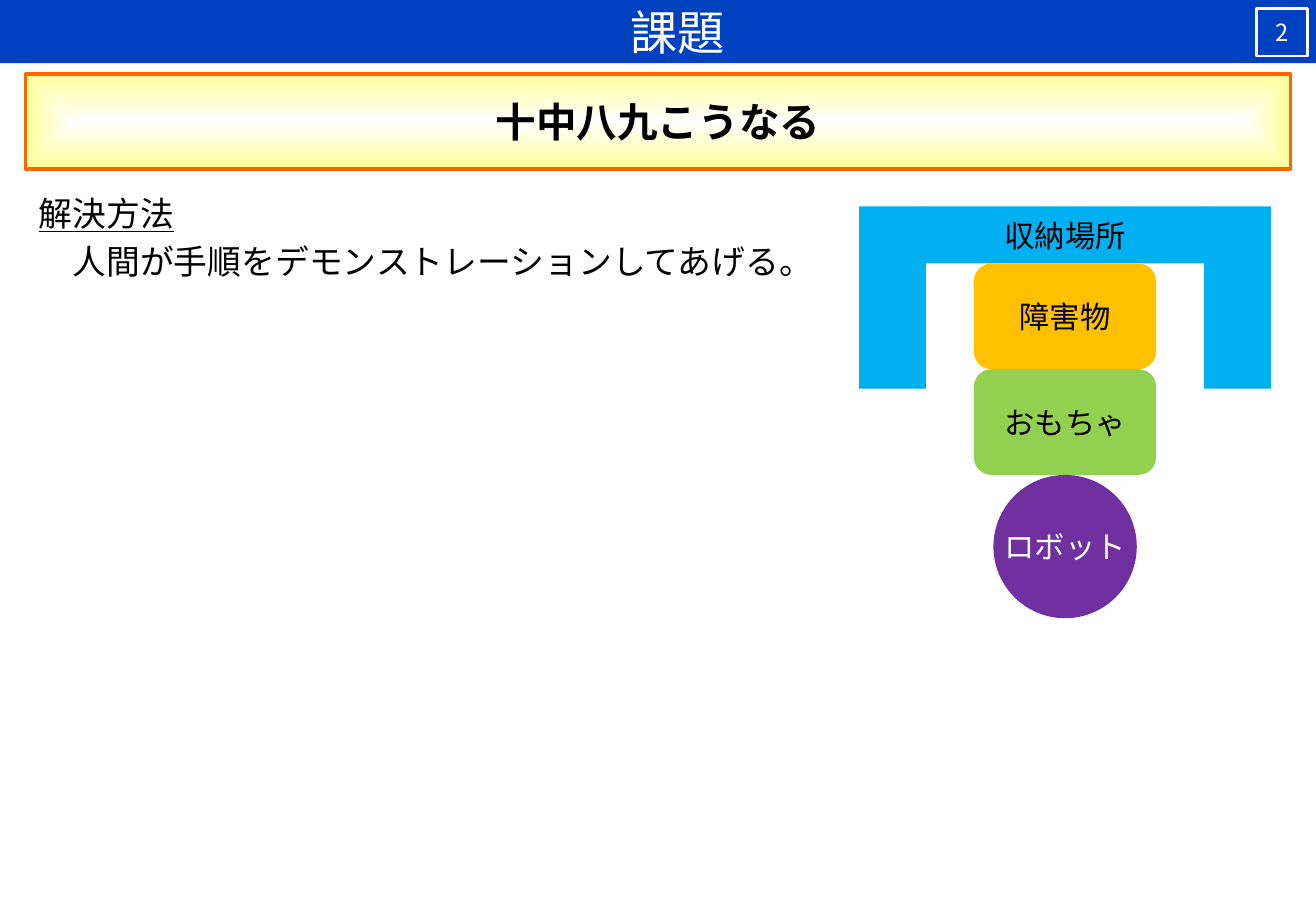
"""Build the slide on a task, its solution and a storage diagram."""
from lxml.etree import SubElement
from pptx import Presentation
from pptx.dml.color import RGBColor
from pptx.enum.shapes import MSO_SHAPE
from pptx.enum.text import MSO_ANCHOR, MSO_AUTO_SIZE, PP_ALIGN
from pptx.oxml import parse_xml
from pptx.oxml.ns import nsdecls, qn
from pptx.util import Inches, Pt

TITLE = "課題"
PAGE = "2"
MESSAGE = "十中八九こうなる"
SOLUTION = ["解決方法", " 人間が手順をデモンストレーションしてあげる。".replace(" ", "　")]
STORAGE = "収納場所"
STACK = [
    ("障害物", MSO_SHAPE.ROUNDED_RECTANGLE, 1.5, 0.87, "amber", "black"),
    ("おもちゃ", MSO_SHAPE.ROUNDED_RECTANGLE, 1.5, 0.87, "green", "black"),
    ("ロボット", MSO_SHAPE.OVAL, 1.18, 1.18, "purple", "white"),
]
COLORS = {
    "white": "FFFFFF", "black": "000000", "bar": "0041C0", "orange": "FF6600",
    "yellow": "FFFF99", "sky": "00B0F0", "amber": "FFC000",
    "green": "92D050", "purple": "7030A0",
}
CJK = "Noto Sans CJK JP"
WIDTH, HEIGHT = 10.83, 7.5
BAR_H = 0.52
STORE_X, STORE_Y, STORE_W = 7.07, 1.7, 3.39
WALL_W, WALL_H, BEAM_H = 0.55, 1.5, 0.47


def rgb(name):
    return RGBColor.from_string(COLORS[name])


def style_run(r, size, color="black", font=CJK, bold=False, underline=False):
    r.font.size, r.font.name = Pt(size), font
    r.font.bold, r.font.underline = bold, underline
    r.font.color.rgb = rgb(color)
    latin = r.font._element.find(qn("a:latin"))
    ea = SubElement(r.font._element, qn("a:ea"), typeface=CJK)
    latin.addnext(ea)


def write(sp, text, size, color="black", font=CJK, bold=False):
    tf = sp.text_frame
    tf.text = text
    tf.vertical_anchor = MSO_ANCHOR.MIDDLE
    p = tf.paragraphs[0]
    p.alignment = PP_ALIGN.CENTER
    style_run(p.runs[0], size, color, font, bold)
    return tf


def add_box(s, kind, x, y, w, h, fill=None, line=None, line_w=1):
    sp = s.shapes.add_shape(kind, Inches(x), Inches(y), Inches(w), Inches(h))
    sp.shadow.inherit = False
    if fill:
        sp.fill.solid()
        sp.fill.fore_color.rgb = rgb(fill)
    else:
        sp.fill.background()
    if line:
        sp.line.color.rgb = rgb(line)
        sp.line.width = Pt(line_w)
    else:
        sp.line.fill.background()
    return sp


def glow(sp, inner, outer):
    grad = parse_xml(
        f'<a:gradFill {nsdecls("a")} rotWithShape="1"><a:gsLst>'
        f'<a:gs pos="0"><a:srgbClr val="{COLORS[inner]}"/></a:gs>'
        f'<a:gs pos="100000"><a:srgbClr val="{COLORS[outer]}"/></a:gs></a:gsLst>'
        '<a:path path="shape"><a:fillToRect l="50000" t="50000" r="50000" b="50000"/>'
        '</a:path></a:gradFill>')
    spPr = sp._element.spPr
    spPr.replace(spPr.find(qn("a:noFill")), grad)


def add_header(s):
    bar = add_box(s, MSO_SHAPE.RECTANGLE, 0, 0, WIDTH, BAR_H, "bar")
    title = s.shapes.title
    title._element.addprevious(bar._element)
    title.left, title.top = Inches(0.88), Inches(0.02)
    title.width, title.height = Inches(9.4), Inches(0.48)
    write(title, TITLE, 28, "white").auto_size = MSO_AUTO_SIZE.NONE

    page = add_box(s, MSO_SHAPE.RECTANGLE, 10.34, 0.07, 0.42, 0.39, None, "white", 1.5)
    tf = write(page, PAGE, 14, "white")
    tf.margin_left = tf.margin_right = tf.margin_top = tf.margin_bottom = Inches(0.02)

    message = add_box(s, MSO_SHAPE.RECTANGLE, 0.21, 0.61, WIDTH - 2 * 0.21, 0.78,
                      None, "orange", 2.25)
    glow(message, "white", "yellow")
    write(message, MESSAGE, 24, bold=True).word_wrap = False


def add_solution(s):
    tf = s.shapes.add_textbox(Inches(0.22), Inches(1.47), Inches(6.61), Inches(0.91)).text_frame
    tf.word_wrap = True
    tf.auto_size = MSO_AUTO_SIZE.SHAPE_TO_FIT_TEXT
    tf.text = "\n".join(SOLUTION)
    for i, p in enumerate(tf.paragraphs):
        p.line_spacing = 1.2
        style_run(p.runs[0], 20, font="Arial", underline=i == 0)


def add_diagram(s):
    for x in (STORE_X, STORE_X + STORE_W - WALL_W):
        add_box(s, MSO_SHAPE.RECTANGLE, x, STORE_Y, WALL_W, WALL_H, "sky")
    beam = add_box(s, MSO_SHAPE.RECTANGLE, STORE_X + WALL_W, STORE_Y,
                   STORE_W - 2 * WALL_W, BEAM_H, "sky")
    write(beam, STORAGE, 18, font="Calibri").word_wrap = False

    center, y = STORE_X + STORE_W / 2, STORE_Y + BEAM_H
    for text, kind, w, h, fill, color in STACK:
        sp = add_box(s, kind, center - w / 2, y, w, h, fill)
        write(sp, text, 18, color, "Calibri").word_wrap = False
        y += h


def main():
    prs = Presentation()
    prs.slide_width, prs.slide_height = Inches(WIDTH), Inches(HEIGHT)
    s = prs.slides.add_slide(prs.slide_layouts[5])
    add_header(s)
    add_solution(s)
    add_diagram(s)
    prs.save("out.pptx")


if __name__ == "__main__":
    main()
